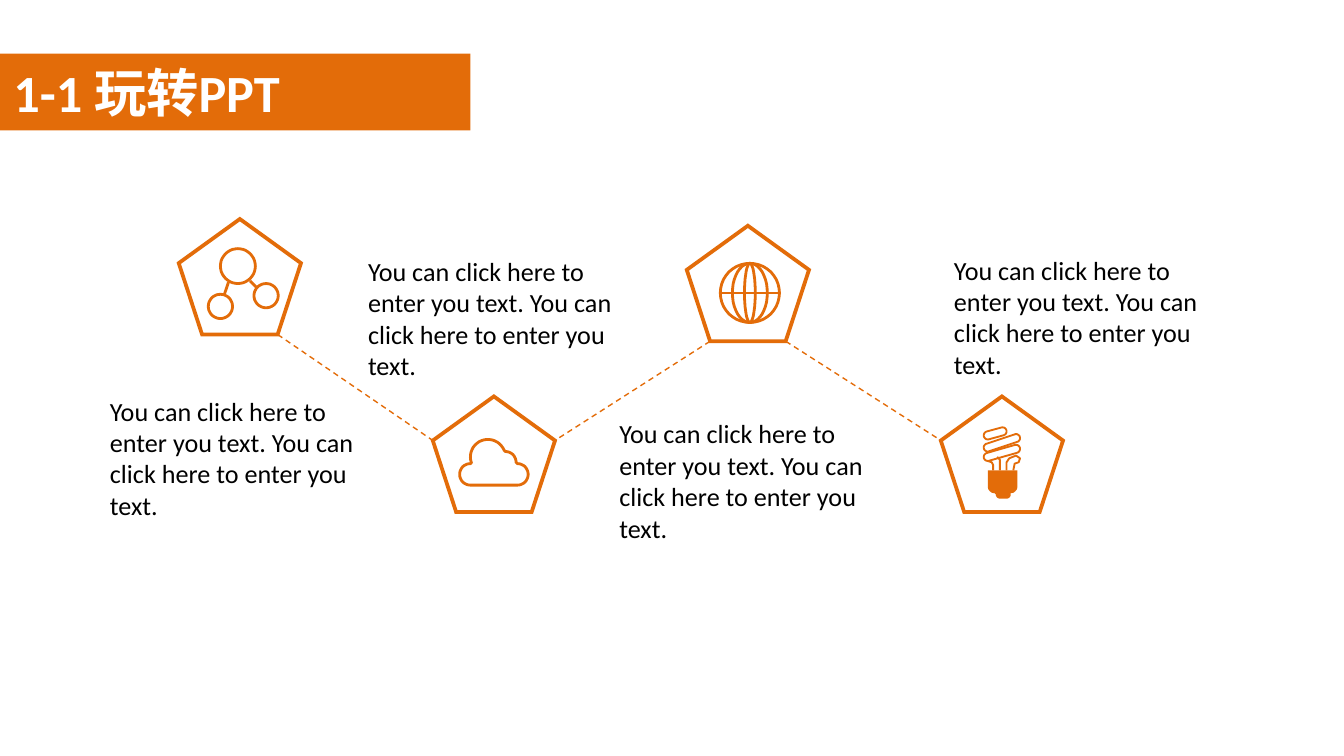
import math

import pptx
import pptx.dml.color
import pptx.enum.dml
import pptx.enum.shapes
import pptx.enum.text
import pptx.oxml
import pptx.oxml.ns
import pptx.util

COLORS = {"accent": "E36C09", "text": "000000", "title": "FFFFFF"}
SLIDE_W = 10
SLIDE_H = SLIDE_W * 9 / 16
BAND = (0, 0.4, 0.35 * SLIDE_W, 0.57)
PENT_W, PENT_H = 0.91, 0.86
FIRST_X, STEP_X = 1.33, 1.89
PENT_TOPS = (1.63, 2.95, 1.68, 2.95)
BODY = "You can click here to enter you text. You can click here to enter you text."
BODY_SIZE = (2.13, 1.04)
BODY_SPOTS = ((0.72, 2.89), (2.64, 1.85), (4.51, 3.06), (7, 1.84))
UNITS = 1000  # freeform units per inch


def inches(*values):
    return [pptx.util.Inches(v) for v in values]


def rgb(name):
    return pptx.dml.color.RGBColor.from_string(COLORS[name])


def xml(tag):
    return pptx.oxml.parse_xml("<a:%s %s/>" % (tag, pptx.oxml.ns.nsdecls("a")))


def paint(shape, fill=None, line=None):
    """Give a shape a fill colour or an accent outline of the given width."""
    shape.shadow.inherit = False
    if fill:
        shape.fill.solid()
        shape.fill.fore_color.rgb = rgb(fill)
    else:
        shape.fill.background()
    if line:
        shape.line.color.rgb = rgb("accent")
        shape.line.width = pptx.util.Pt(line)
    else:
        shape.line.fill.background()


def write(shape, text, color, **font):
    tf = shape.text_frame
    tf.word_wrap = True
    tf.auto_size = pptx.enum.text.MSO_AUTO_SIZE.NONE
    tf.vertical_anchor = pptx.enum.text.MSO_ANCHOR.TOP
    p = tf.paragraphs[0]
    p.alignment = pptx.enum.text.PP_ALIGN.LEFT
    r = p.add_run()
    r.text = text
    r.font.color.rgb = rgb(color)
    for name, value in font.items():
        setattr(r.font, name, value)


def arc(cx, cy, rx, ry, start=0, end=360):
    """Points along an elliptical arc, with degrees running clockwise."""
    count = max(8, round((end - start) / 9))
    angles = [math.radians(start + (end - start) * i / count) for i in range(count + 1)]
    return [(cx + rx * math.cos(a), cy + ry * math.sin(a)) for a in angles]


def capsule(x1, y1, x2, y2, r):
    tilt = math.degrees(math.atan2(y2 - y1, x2 - x1))
    return (arc(x2, y2, r, r, tilt - 90, tilt + 90)
            + arc(x1, y1, r, r, tilt + 90, tilt + 270))


def add_outline(shapes, closed, opened=(), **look):
    """Add one freeform made of closed and open contours, in slide inches."""
    contours = [(c, True) for c in closed] + [(c, False) for c in opened]
    builder = None
    for points, close in contours:
        points = [(x * UNITS, y * UNITS) for x, y in points]
        if builder is None:
            builder = shapes.build_freeform(*points[0], scale=914400 / UNITS)
        else:
            builder.move_to(*points[0])
        builder.add_line_segments(points[1:], close=close)
    paint(builder.convert_to_shape(), **look)


def add_molecule(shapes):
    atoms = [(1.77, 1.98, 0.13), (1.64, 2.28, 0.09), (1.98, 2.2, 0.09)]
    bonds = [[(1.7, 2.1), (1.67, 2.19)], [(1.86, 2.09), (1.91, 2.14)]]
    add_outline(shapes, [arc(x, y, r, r) for x, y, r in atoms], bonds, line=1.5)


def add_cloud(shapes):
    edge = (arc(3.5, 3.53, 0.08, 0.08, 90, 270)
            + arc(3.63, 3.4, 0.13, 0.13, 160, 338)
            + arc(3.76, 3.44, 0.08, 0.08, 270, 360)
            + arc(3.85, 3.53, 0.08, 0.08, 270, 450))
    add_outline(shapes, [edge], line=1.5)


def add_globe(shapes):
    cx, cy, r = 5.58, 2.18, 0.22
    meridians = [arc(cx, cy, rx, r) for rx in (r, 0.13, 0.04)]
    add_outline(shapes, meridians, [[(cx - r, cy), (cx + r, cy)]], line=1.5)


def add_bulb(shapes):
    coils = [capsule(*c, 0.03) for c in ((7.35, 3.24, 7.46, 3.21),
                                         (7.35, 3.33, 7.56, 3.26),
                                         (7.35, 3.4, 7.56, 3.34))]
    tubes = [[(7.35, 3.43), (7.38, 3.44), (7.39, 3.46), (7.39, 3.5)],
             [(7.44, 3.5), (7.44, 3.42), (7.42, 3.4)],
             [(7.49, 3.5), (7.49, 3.44), (7.51, 3.41), (7.56, 3.39), (7.59, 3.41),
              (7.58, 3.44), (7.55, 3.45), (7.54, 3.5)]]
    add_outline(shapes, coils, tubes, line=1)
    base = ([(7.35, 3.5), (7.57, 3.5)]
            + arc(7.52, 3.62, 0.05, 0.05, 0, 90)
            + arc(7.49, 3.68, 0.03, 0.03, 0, 90)
            + arc(7.44, 3.68, 0.03, 0.03, 90, 180)
            + arc(7.4, 3.62, 0.05, 0.05, 90, 180))
    add_outline(shapes, [base], fill="accent")


def add_badge(s, x, y, add_icon):
    group = s.shapes.add_group_shape()
    pentagon = group.shapes.add_shape(
        pptx.enum.shapes.MSO_SHAPE.REGULAR_PENTAGON, *inches(x, y, PENT_W, PENT_H))
    paint(pentagon, line=2)
    pentagon.line._get_or_add_ln().append(xml("miter"))
    add_icon(group.shapes)


def add_dashed_link(s, start, end):
    link = s.shapes.add_connector(
        pptx.enum.shapes.MSO_CONNECTOR.STRAIGHT, *inches(*start, *end))
    link.line.color.rgb = rgb("accent")
    link.line.width = pptx.util.Pt(0.75)
    link.line.dash_style = pptx.enum.dml.MSO_LINE.DASH
    link._element.spPr.append(xml("effectLst"))


def link_badges(s, spots):
    """Join the foot of each upper pentagon to the side of each lower neighbour."""
    foot, side = 0.19 * PENT_W, 0.38 * PENT_H
    for (x1, y1), (x2, y2) in zip(spots, spots[1:]):
        if y1 < y2:
            add_dashed_link(s, (x1 + PENT_W - foot, y1 + PENT_H), (x2, y2 + side))
        else:
            add_dashed_link(s, (x2 + foot, y2 + PENT_H), (x1 + PENT_W, y1 + side))


def add_title(s, text):
    band = s.shapes.add_shape(pptx.enum.shapes.MSO_SHAPE.RECTANGLE, *inches(*BAND))
    paint(band, fill="accent")
    title = s.shapes.title
    title.left, title.top, title.width, title.height = inches(*BAND)
    write(title, text, "title", size=pptx.util.Pt(28), name="Calibri", bold=True)
    s.shapes.element.append(title.element)  # bring the title in front of its band


def main():
    prs = pptx.Presentation()
    prs.slide_width, prs.slide_height = inches(SLIDE_W, SLIDE_H)
    s = prs.slides.add_slide(prs.slide_layouts[5])
    add_title(s, "1-1 玩转PPT")
    spots = [(FIRST_X + i * STEP_X, y) for i, y in enumerate(PENT_TOPS)]
    icons = (add_molecule, add_cloud, add_globe, add_bulb)
    for (x, y), add_icon in zip(spots, icons):
        add_badge(s, x, y, add_icon)
    link_badges(s, spots)
    for spot in BODY_SPOTS:
        box = s.shapes.add_textbox(*inches(*spot, *BODY_SIZE))
        write(box, BODY, "text", size=pptx.util.Pt(14), name="Calibri")
    prs.save("out.pptx")


if __name__ == "__main__":
    main()
